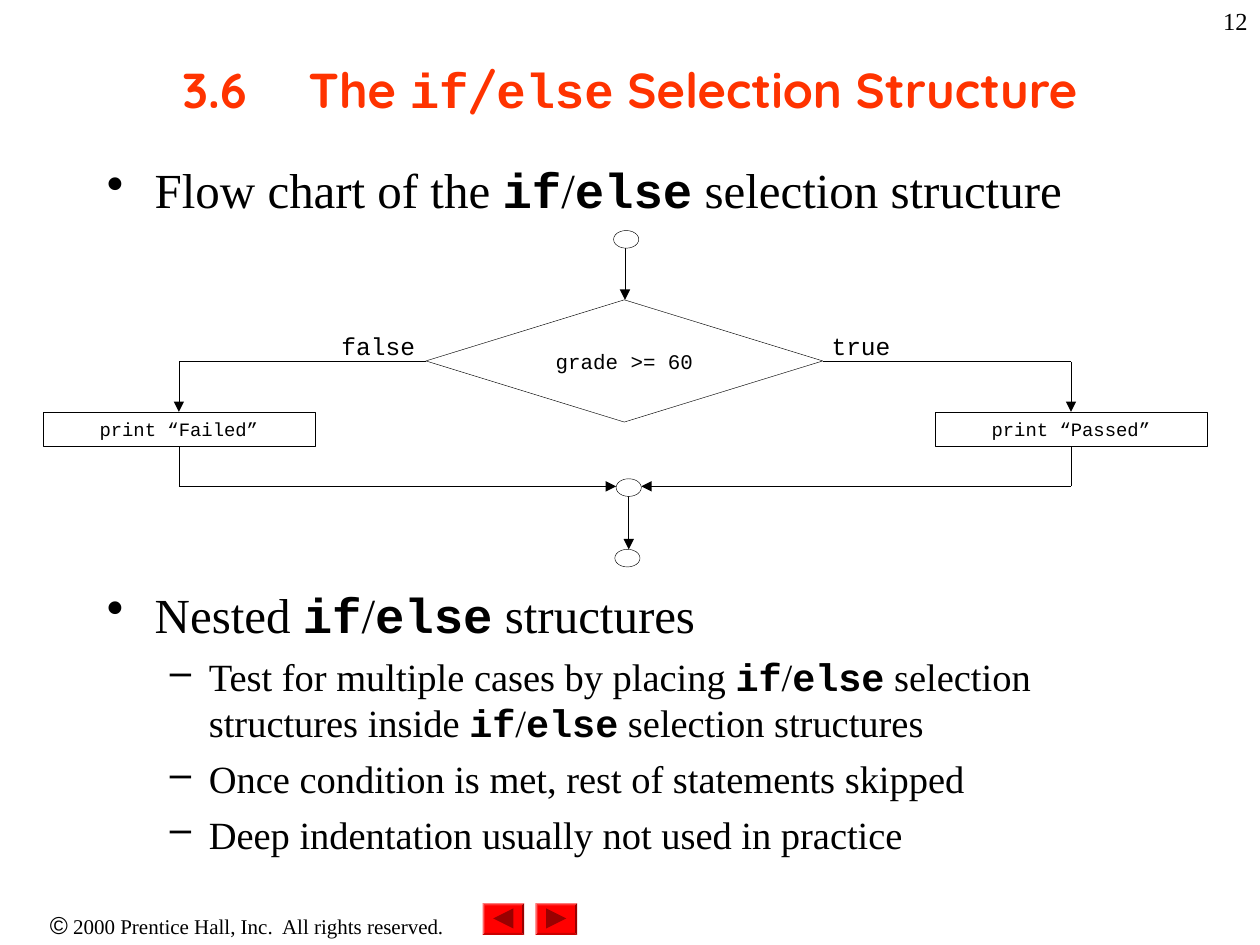
from typing import NamedTuple

import pptx
import pptx.dml.color
import pptx.enum.shapes
import pptx.enum.text
import pptx.oxml.ns
import pptx.util
from lxml import etree

Inches, Pt = pptx.util.Inches, pptx.util.Pt
RGBColor = pptx.dml.color.RGBColor
SHAPE = pptx.enum.shapes.MSO_SHAPE
ALIGN = pptx.enum.text.PP_ALIGN
ANCHOR = pptx.enum.text.MSO_ANCHOR
qn = pptx.oxml.ns.qn

BLACK = RGBColor(0, 0, 0)
WHITE = RGBColor(0xFF, 0xFF, 0xFF)
ORANGE = RGBColor(0xFF, 0x33, 0x00)
RED = RGBColor(0xFF, 0, 0)
DARK_RED = RGBColor(0x99, 0, 0)
SERIF, MONO, SANS, HEADING = "Times New Roman", "Courier New", "Arial", "Quicksand"


class Run(NamedTuple):
    text: str
    font: str = SERIF
    bold: bool = False


class Bullet(NamedTuple):
    runs: list[Run]
    level: int = 0


class Node(NamedTuple):
    kind: SHAPE
    left: float
    top: float
    width: float
    height: float
    text: str = ""
    size: float = 12


class Line(NamedTuple):
    x1: float
    y1: float
    x2: float
    y2: float
    arrow: bool = False


class BulletStyle(NamedTuple):
    char: str
    left: float
    hanging: float
    size: float
    before: float


IF_ELSE = [Run("if", MONO, True), Run("/"), Run("else", MONO, True)]
STYLES = [BulletStyle("•", 0.38, 0.38, 28, 7), BulletStyle("–", 0.81, 0.31, 22, 5.5)]

FLOW_BULLETS = [Bullet([Run("Flow chart of the "), *IF_ELSE, Run(" selection structure")])]
NESTED_BULLETS = [
    Bullet([Run("Nested "), *IF_ELSE, Run(" structures")]),
    Bullet([Run("Test for multiple cases by placing "), *IF_ELSE,
            Run(" selection structures inside "), *IF_ELSE,
            Run(" selection structures")], 1),
    Bullet([Run("Once condition is met, rest of statements skipped")], 1),
    Bullet([Run("Deep indentation usually not used in practice")], 1),
]

FALSE_X, TRUE_X = 1.42, 8.5
BRANCH_Y, BOX_TOP, BOX_BOTTOM, JOIN_Y = 2.87, 3.27, 3.54, 3.86
LINES = [
    Line(4.96, 1.97, 4.96, 2.38, True),
    Line(3.38, BRANCH_Y, FALSE_X, BRANCH_Y),
    Line(6.53, BRANCH_Y, TRUE_X, BRANCH_Y),
    *(Line(x, BRANCH_Y, x, BOX_TOP, True) for x in (FALSE_X, TRUE_X)),
    *(Line(x, BOX_BOTTOM, x, JOIN_Y) for x in (FALSE_X, TRUE_X)),
    Line(FALSE_X, JOIN_Y, 4.89, JOIN_Y, True),
    Line(TRUE_X, JOIN_Y, 5.09, JOIN_Y, True),
    Line(4.99, 3.94, 4.99, 4.36, True),
]
NODES = [
    *(Node(SHAPE.OVAL, x, y, 0.2, 0.14)
      for x, y in ((4.87, 1.83), (4.89, 3.8), (4.88, 4.36))),
    Node(SHAPE.DIAMOND, 3.38, 2.38, 3.15, 0.97, "grade >= 60", 11.9),
    *(Node(SHAPE.RECTANGLE, x - 1.08, BOX_TOP, 2.16, BOX_BOTTOM - BOX_TOP, text, 10.8)
      for x, text in ((FALSE_X, "print “Failed”"), (TRUE_X, "print “Passed”"))),
]


def set_insets(tf, x: float, y: float) -> None:
    tf.margin_left = tf.margin_right = Inches(x)
    tf.margin_top = tf.margin_bottom = Inches(y)


def add_run(p, run: Run, size: float, color: RGBColor = BLACK) -> None:
    r = p.add_run()
    r.text = run.text
    r.font.name, r.font.size, r.font.bold = run.font, Pt(size), run.bold
    r.font.color.rgb = color


def add_text_box(s, left: float, top: float, width: float, height: float, inset=(0.1, 0.05)):
    tf = s.shapes.add_textbox(*map(Inches, (left, top, width, height))).text_frame
    tf.word_wrap = True
    set_insets(tf, *inset)
    return tf


def add_title(s) -> None:
    tf = add_text_box(s, 0.75, 0.08, 8.5, 1.25)
    tf.vertical_anchor = ANCHOR.MIDDLE
    p = tf.paragraphs[0]
    p.alignment = ALIGN.CENTER
    tabs = etree.SubElement(p._p.get_or_add_pPr(), qn("a:tabLst"))
    for inch in range(8):
        etree.SubElement(tabs, qn("a:tab"), pos=str(Inches(inch)), algn="l")
    for text, font in (("3.6\tThe ", HEADING), ("if", MONO), ("/", HEADING),
                       ("else", MONO), (" Selection Structure", HEADING)):
        add_run(p, Run(text, font, True), 28, ORANGE)


def add_bullets(s, top: float, height: float, bullets: list[Bullet]) -> None:
    tf = add_text_box(s, 0.75, top, 8.5, height)
    for i, bullet in enumerate(bullets):
        style = STYLES[bullet.level]
        p = tf.add_paragraph() if i else tf.paragraphs[0]
        p.level = bullet.level
        if i:
            p.space_before = Pt(style.before)
        pPr = p._p.get_or_add_pPr()
        pPr.set("marL", str(Inches(style.left)))
        pPr.set("indent", str(-Inches(style.hanging)))
        etree.SubElement(pPr, qn("a:buChar"), char=style.char)
        for run in bullet.runs:
            add_run(p, run, style.size)


def add_line(s, line: Line) -> None:
    c = s.shapes.add_connector(pptx.enum.shapes.MSO_CONNECTOR.STRAIGHT,
                               *map(Inches, line[:4]))
    c.line.color.rgb, c.line.width = BLACK, Pt(0.25)
    if line.arrow:
        etree.SubElement(c.line._get_or_add_ln(), qn("a:tailEnd"), type="triangle")
    etree.SubElement(c._element.spPr, qn("a:effectLst"))


def add_node(s, node: Node) -> None:
    sp = s.shapes.add_shape(node.kind, *map(Inches, node[1:5]))
    sp.shadow.inherit = False
    sp.fill.solid()
    sp.fill.fore_color.rgb = WHITE
    sp.line.color.rgb, sp.line.width = BLACK, Pt(0.25)
    if node.text:
        tf = sp.text_frame
        set_insets(tf, 0, 0)
        tf.vertical_anchor = ANCHOR.MIDDLE
        tf.paragraphs[0].alignment = ALIGN.CENTER
        add_run(tf.paragraphs[0], Run(node.text, MONO), node.size)


def add_nav_button(s, left: float, direction: int) -> None:
    """Draw a bevelled button whose arrow points left (-1) or right (1)."""
    bevel = s.shapes.add_shape(SHAPE.BEVEL, *map(Inches, (left, 7.17, 0.33, 0.25)))
    bevel.adjustments[0] = 0.06
    x, y, half = left + 0.165, 7.29, 0.08
    builder = s.shapes.build_freeform(Inches(x - direction * half), Inches(y - half))
    builder.add_line_segments([(Inches(x + direction * half), Inches(y)),
                               (Inches(x - direction * half), Inches(y + half))])
    for sp, color in ((bevel, RED), (builder.convert_to_shape(), DARK_RED)):
        sp.shadow.inherit = False
        sp.fill.solid()
        sp.fill.fore_color.rgb = color
        sp.line.fill.background()


def main() -> None:
    prs = pptx.Presentation()
    prs.slide_width, prs.slide_height = Inches(10), Inches(7.5)
    s = prs.slides.add_slide(prs.slide_layouts[6])

    p = add_text_box(s, 0, 7.17, 3.92, 0.34).paragraphs[0]
    p.alignment = ALIGN.CENTER
    add_run(p, Run("©", SANS), 14)
    add_run(p, Run(" 2000 Prentice Hall, Inc.  All rights reserved."), 12)
    add_nav_button(s, 3.83, -1)
    add_nav_button(s, 4.25, 1)

    p = add_text_box(s, 7.92, 0, 2.08, 0.5).paragraphs[0]
    p.alignment = ALIGN.RIGHT
    add_run(p, Run("12"), 14)
    add_title(s)
    add_bullets(s, 1.22, 0.55, FLOW_BULLETS)
    add_bullets(s, 4.59, 2.5, NESTED_BULLETS)

    for line in LINES:
        add_line(s, line)
    for node in NODES:
        add_node(s, node)
    for text, left, width in (("false", 2.71, 0.85), ("true", 6.6, 0.7)):
        tf = add_text_box(s, left, 2.63, width, 0.27, (0, 0))
        add_run(tf.paragraphs[0], Run(text, MONO), 14)
    prs.save("out.pptx")


if __name__ == "__main__":
    main()
